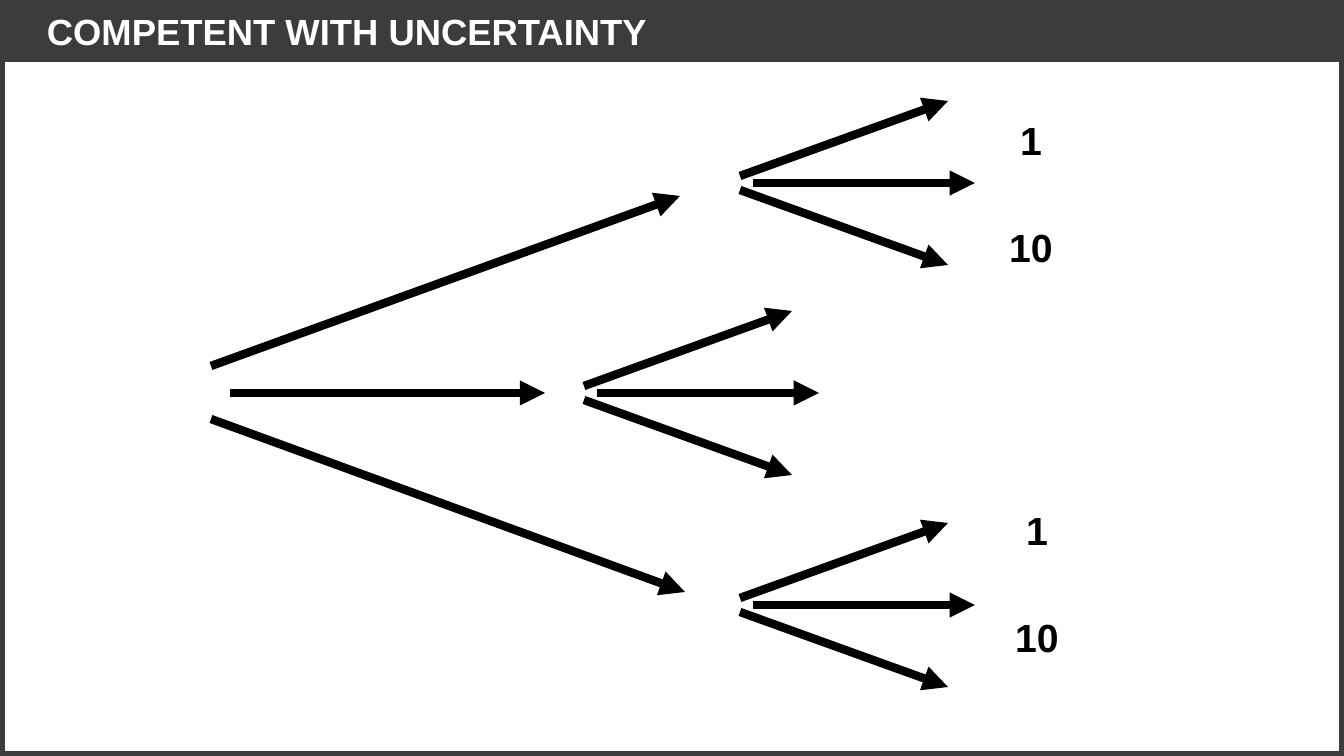
"""Builds the slide of branching arrows titled Competent with uncertainty."""
from lxml.etree import SubElement
from pptx import Presentation
from pptx.dml.color import RGBColor
from pptx.enum.shapes import MSO_CONNECTOR, MSO_SHAPE
from pptx.enum.text import MSO_ANCHOR, MSO_AUTO_SIZE, PP_ALIGN
from pptx.oxml.ns import qn
from pptx.util import Emu, Pt

TITLE = "COMPETENT WITH UNCERTAINTY"
FONT = "Arial"
COLOURS = {"band": "3C3C3C", "title": "FFFFFF", "ink": "000000"}
WIDTH, HEIGHT, BAND_HEIGHT = 1344, 756, 62
TRUNK = [
    ((230, 393), (545, 393)),
    ((211, 366), (680, 196)),
    ((211, 419), (685, 592)),
]
FAN_ORIGINS = [(740, 183), (584, 393), (740, 605)]
FAN_RAYS = [
    ((13, 0), (235, 0)),
    ((0, -7), (208, -82)),
    ((0, 7), (208, 82)),
]
LABEL_ORIGINS = [(1031, 111), (1037, 501)]
LABELS = [("1", 42, 0), ("10", 65, 107)]
LABEL_HEIGHT = 57


def px(length):
    return Emu(round(length * 914400 / 100.8))


def colour(name):
    return RGBColor.from_string(COLOURS[name])


def add_rectangle(page, height):
    rectangle = page.shapes.add_shape(MSO_SHAPE.RECTANGLE, 0, 0, px(WIDTH), px(height))
    rectangle.shadow.inherit = False
    return rectangle


def add_text(page, text, left, top, width, height, size, ink):
    box = page.shapes.add_textbox(px(left), px(top), px(width), px(height))
    frame = box.text_frame
    frame.text = text
    font = frame.paragraphs[0].runs[0].font
    font.name, font.size, font.bold = FONT, Pt(size), True
    font.color.rgb = colour(ink)
    return frame


def add_arrow(page, start, end):
    arrow = page.shapes.add_connector(
        MSO_CONNECTOR.STRAIGHT, *(px(value) for value in (*start, *end)))
    arrow.line.color.rgb = colour("ink")
    arrow.line.width = Pt(6)
    SubElement(arrow.line._get_or_add_ln(), qn("a:tailEnd"), type="triangle")
    SubElement(arrow._element.spPr, qn("a:effectLst"))


def shift(origin, offset):
    return origin[0] + offset[0], origin[1] + offset[1]


def main():
    deck = Presentation()
    deck.slide_width, deck.slide_height = px(WIDTH), px(HEIGHT)
    page = deck.slides.add_slide(deck.slide_layouts[6])

    band = add_rectangle(page, BAND_HEIGHT)
    band.fill.solid()
    band.fill.fore_color.rgb = colour("band")
    band.line.fill.background()
    border = add_rectangle(page, HEIGHT)
    border.fill.background()
    border.line.color.rgb = colour("band")
    border.line.width = Pt(7.5)

    title = add_text(page, TITLE, 37, 0, 917, BAND_HEIGHT, 26, "title")
    title.word_wrap = True
    title.vertical_anchor = MSO_ANCHOR.MIDDLE
    title.margin_top = title.margin_bottom = 0

    for centre, top in LABEL_ORIGINS:
        for text, width, drop in LABELS:
            label = add_text(page, text, centre - width / 2, top + drop,
                             width, LABEL_HEIGHT, 28, "ink")
            label.word_wrap = False
            label.auto_size = MSO_AUTO_SIZE.SHAPE_TO_FIT_TEXT
            label.paragraphs[0].alignment = PP_ALIGN.CENTER

    for origin in FAN_ORIGINS:
        for start, end in FAN_RAYS:
            add_arrow(page, shift(origin, start), shift(origin, end))
    for start, end in TRUNK:
        add_arrow(page, start, end)

    deck.save("out.pptx")


if __name__ == "__main__":
    main()
